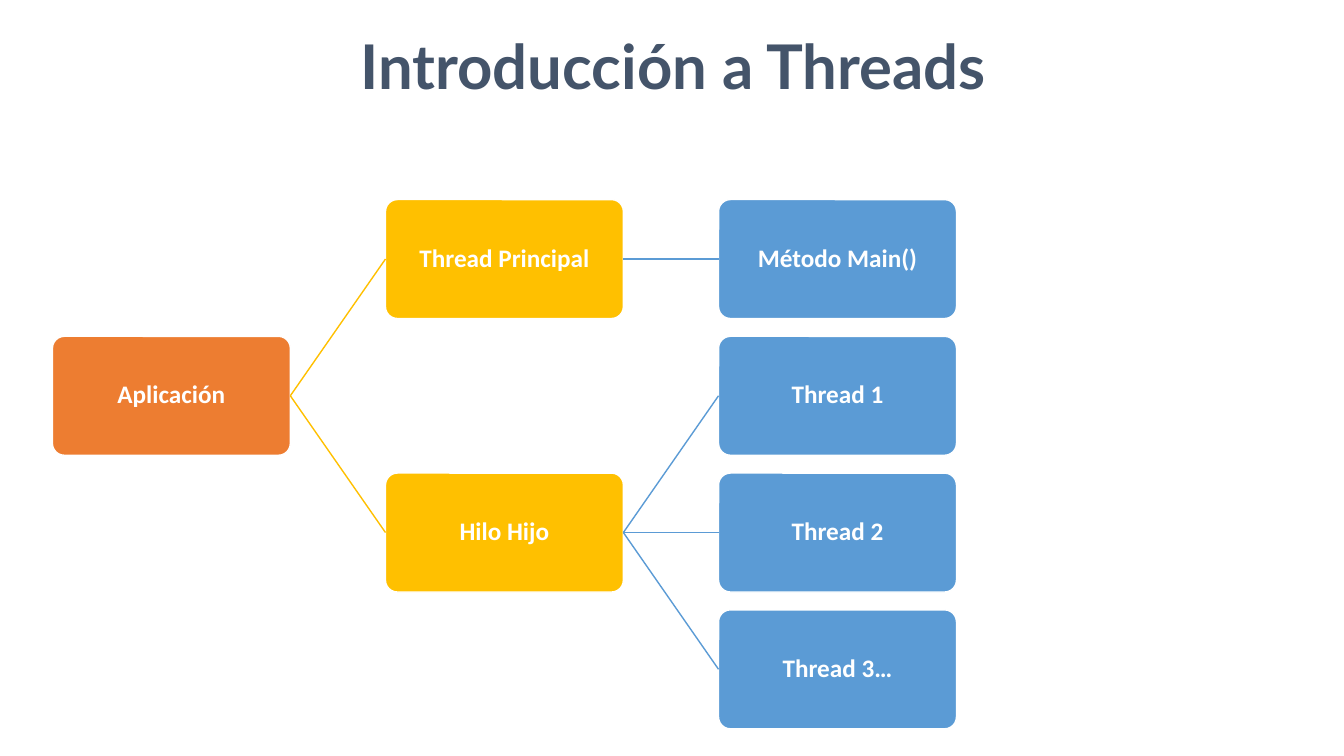
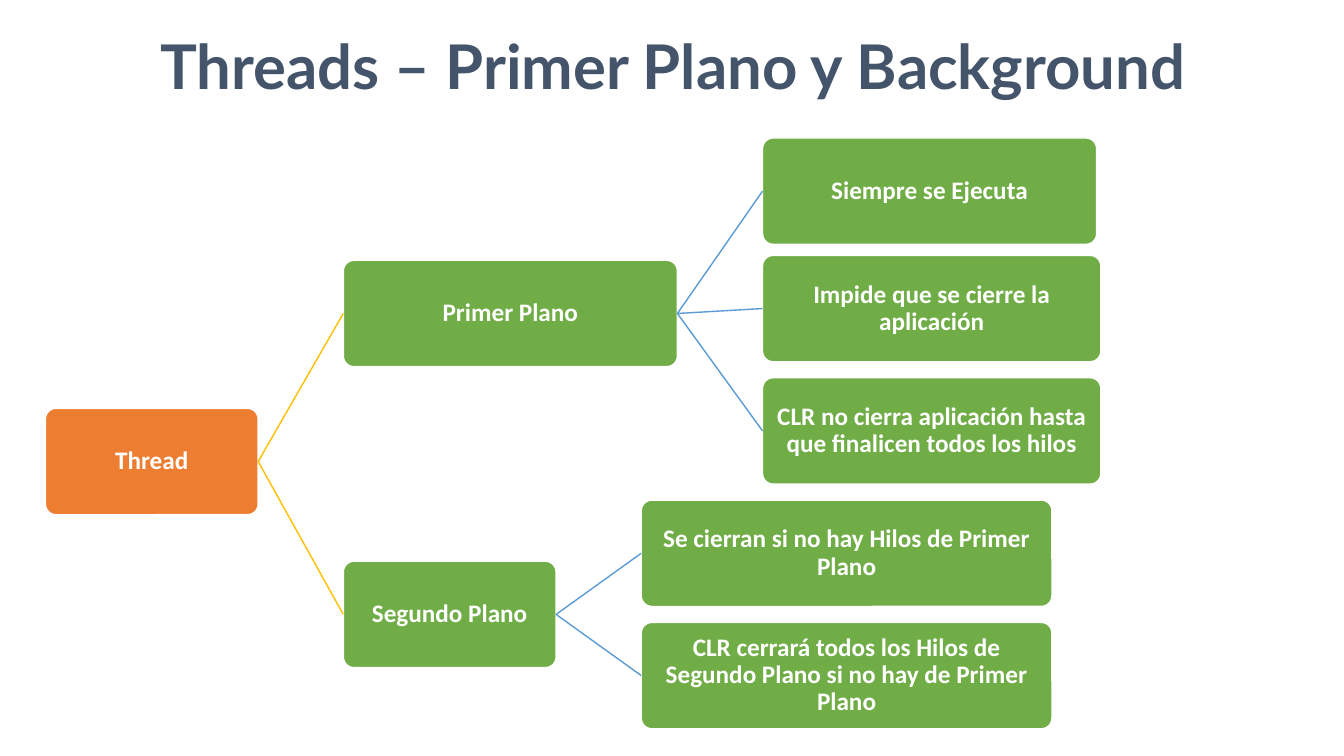
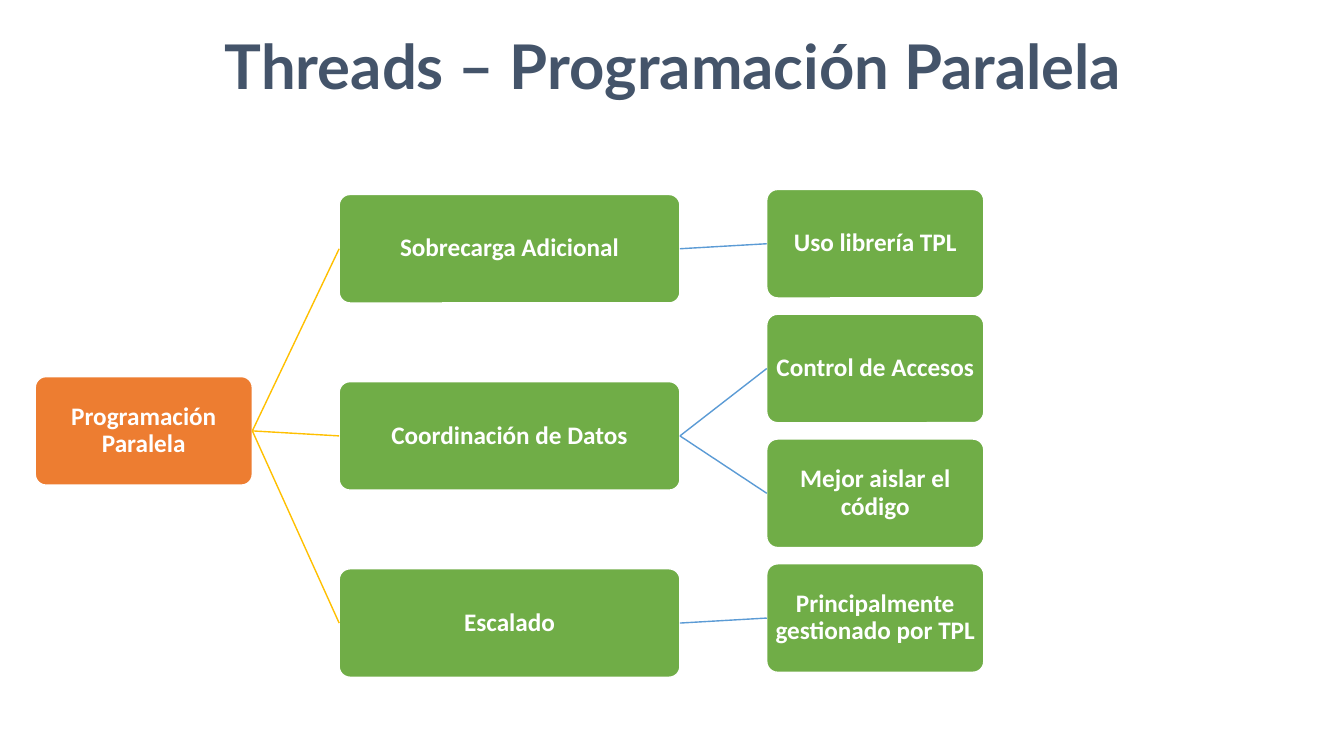
from dataclasses import dataclass
from itertools import count

from lxml import etree
from pptx import Presentation
from pptx.dml.color import RGBColor
from pptx.enum.shapes import MSO_CONNECTOR, MSO_SHAPE
from pptx.enum.text import MSO_ANCHOR, PP_ALIGN
from pptx.oxml.ns import qn
from pptx.util import Inches, Pt

ROUNDED = MSO_SHAPE.ROUNDED_RECTANGLE
STRAIGHT = MSO_CONNECTOR.STRAIGHT
CENTER = PP_ALIGN.CENTER
TOP, MIDDLE = MSO_ANCHOR.TOP, MSO_ANCHOR.MIDDLE
LEFT_SIDE, RIGHT_SIDE = 1, 3
BLANK_LAYOUT = 6


@dataclass(frozen=True)
class Theme:
    title_font: str = "Lato"
    title_size: int = 44
    title_color: str = "44546A"
    node_font: str = "Calibri"
    node_size: int = 18
    white: str = "FFFFFF"
    orange: str = "ED7D31"
    gold: str = "FFC000"
    blue: str = "5B9BD5"
    green: str = "70AD47"
    line_width: int = 1


@dataclass(frozen=True)
class Node:
    text: str
    children: tuple = ()
    span: float = 1
    drop: float = 0


@dataclass(frozen=True)
class Diagram:
    title: str
    left: float
    top: float
    bottom: float
    fills: tuple
    root: Node


THEME = Theme()
SLIDE_SIZE = (13.33, 7.5)
TITLE_BOX = (0.13, 0.26, 13.1, 0.79)
ROW_PITCH = 1.15
NODE_ASPECT = 2
COLUMN_GAP = 0.8
CORNER = 0.1
LINK_COLORS = (THEME.gold, THEME.blue)
WIDE = 1.57
WIDER = 1.59
WIDEST = 1.93
NUDGE = 0.04

BRIGHT = (THEME.orange, THEME.gold, THEME.blue)
NATURAL = (THEME.orange, THEME.green, THEME.green)

DIAGRAMS = [
    Diagram("Introducción a Threads", 0.52, 1.98, 7.23, BRIGHT, Node("Aplicación", (
        Node("Thread Principal", (Node("Método Main()"),)),
        Node("Hilo Hijo", (Node("Thread 1"), Node("Thread 2"), Node("Thread 3…"))),
    ))),
    Diagram("Threads – Primer Plano y Background", 0.45, 1.32, 7.23, NATURAL, Node("Thread", (
        Node("Primer Plano", (
            Node("Siempre se Ejecuta", span=WIDE, drop=NUDGE),
            Node("Impide que se cierre la aplicación", span=WIDER),
            Node("CLR no cierra aplicación hasta que finalicen todos los hilos", span=WIDER),
        ), WIDE, NUDGE),
        Node("Segundo Plano", (
            Node("Se cierran si no hay Hilos de Primer Plano", span=WIDEST),
            Node("CLR cerrará todos los Hilos de Segundo Plano si no hay de Primer Plano", span=WIDEST),
        )),
    ))),
    Diagram("Threads – Programación Paralela", 0.35, 1.88, 6.67, NATURAL, Node("Programación Paralela", (
        Node("Sobrecarga Adicional", (Node("Uso librería TPL"),), WIDE, NUDGE),
        Node("Coordinación de Datos", (
            Node("Control de Accesos"), Node("Mejor aislar el código"),
        ), WIDE, NUDGE),
        Node("Escalado", (Node("Principalmente gestionado por TPL"),), WIDE, NUDGE),
    ))),
]


def write_text(shape, text, font, size, color, insets, anchor, spacing):
    frame = shape.text_frame
    frame.word_wrap = True
    frame.vertical_anchor = anchor
    frame.margin_left = frame.margin_right = Inches(insets[0])
    frame.margin_top = frame.margin_bottom = Inches(insets[1])
    paragraph = frame.paragraphs[0]
    paragraph.alignment = CENTER
    paragraph.line_spacing = spacing
    run = paragraph.add_run()
    run.text = text
    run.font.name = font
    run.font.size = Pt(size)
    run.font.bold = True
    run.font.color.rgb = RGBColor.from_string(color)


def set_line(shape, color):
    shape.line.color.rgb = RGBColor.from_string(color)
    shape.line.width = Pt(THEME.line_width)


def add_title(slide, text):
    box = slide.shapes.add_textbox(*map(Inches, TITLE_BOX))
    write_text(box, text, THEME.title_font, THEME.title_size, THEME.title_color, (0.05, 0.02), TOP, 1.0)


def add_node(slide, text, box, fill):
    shape = slide.shapes.add_shape(ROUNDED, *map(Inches, box))
    shape.adjustments[0] = CORNER
    shape.shadow.inherit = False
    shape.fill.solid()
    shape.fill.fore_color.rgb = RGBColor.from_string(fill)
    set_line(shape, THEME.white)
    write_text(shape, text, THEME.node_font, THEME.node_size, THEME.white, (0.01, 0.01), MIDDLE, 0.9)
    return shape


def add_link(slide, parent, child, color):
    connector = slide.shapes.add_connector(STRAIGHT, 0, 0, 0, 0)
    connector.begin_connect(parent, RIGHT_SIDE)
    connector.end_connect(child, LEFT_SIDE)
    set_line(connector, color)
    etree.SubElement(connector._element.spPr, qn("a:effectLst"))


def assign_rows(node, rows, next_row):
    for child in node.children:
        assign_rows(child, rows, next_row)
    if node.children:
        rows[node] = (rows[node.children[0]] + rows[node.children[-1]]) / 2
    else:
        rows[node] = next(next_row)


def draw_tree(slide, diagram):
    rows = {}
    assign_rows(diagram.root, rows, count())
    height = (diagram.bottom - diagram.top) / (max(rows.values()) * ROW_PITCH + 1)

    def draw_branch(node, left, level):
        width = node.span * NODE_ASPECT * height
        top = diagram.top + (rows[node] + node.drop) * ROW_PITCH * height
        shape = add_node(slide, node.text, (left, top, width, height), diagram.fills[level])
        for child in node.children:
            child_shape = draw_branch(child, left + width + COLUMN_GAP * height, level + 1)
            add_link(slide, shape, child_shape, LINK_COLORS[level])
        return shape

    draw_branch(diagram.root, diagram.left, 0)


def main():
    presentation = Presentation()
    presentation.slide_width, presentation.slide_height = map(Inches, SLIDE_SIZE)
    for diagram in DIAGRAMS:
        slide = presentation.slides.add_slide(presentation.slide_layouts[BLANK_LAYOUT])
        add_title(slide, diagram.title)
        draw_tree(slide, diagram)
    presentation.save("out.pptx")


if __name__ == "__main__":
    main()
